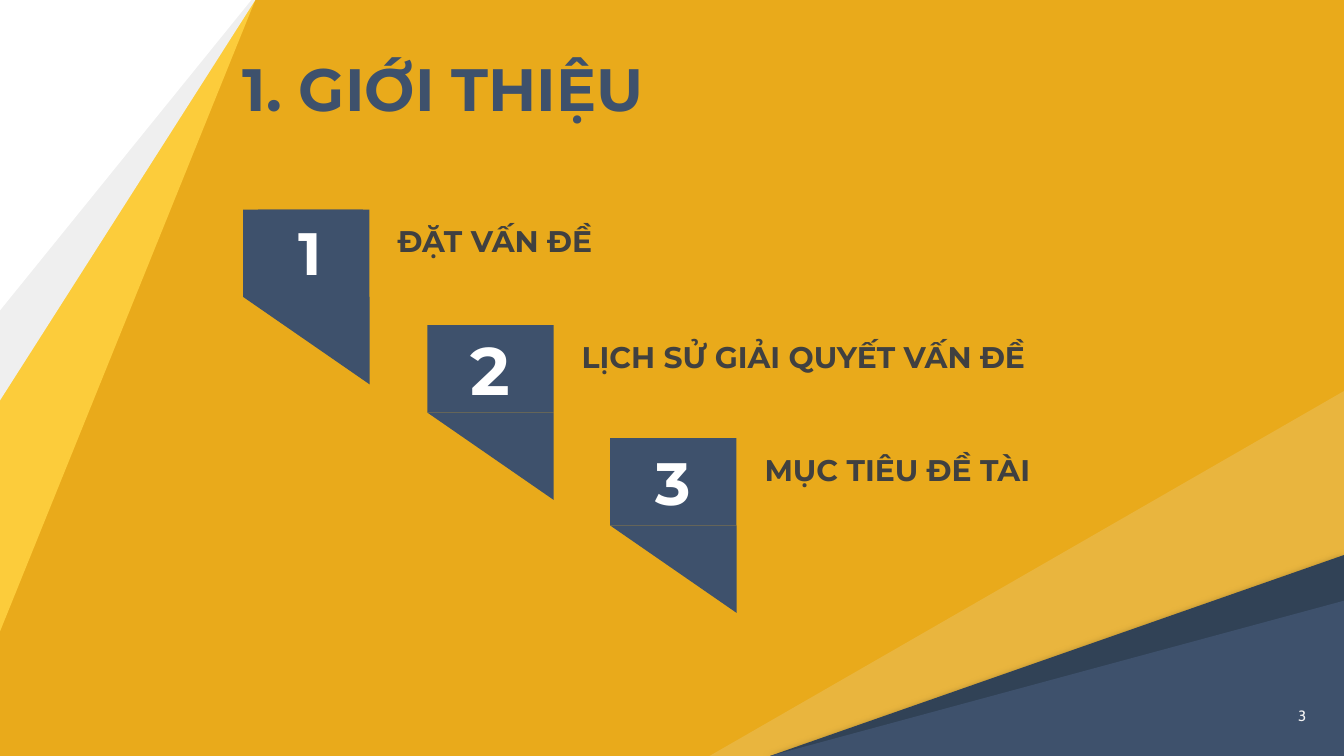
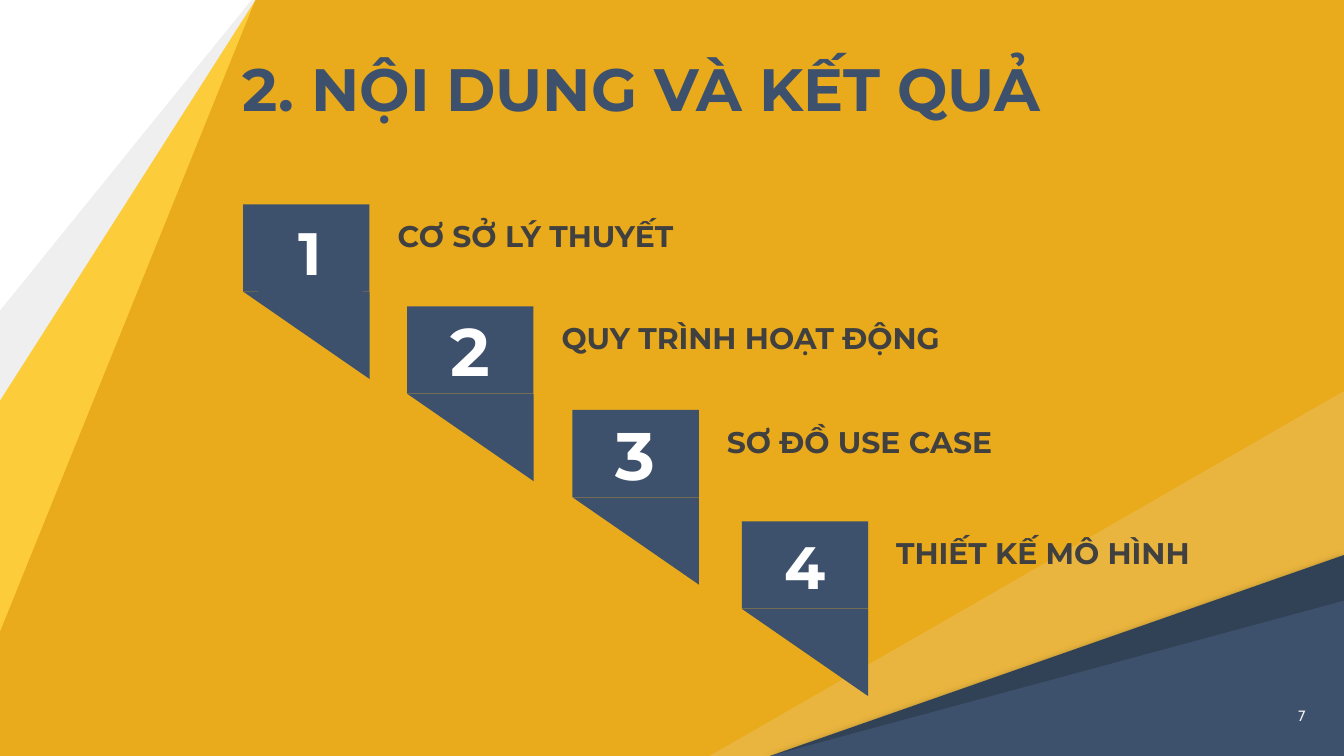
from lxml import etree
from pptx import Presentation
from pptx.dml.color import RGBColor
from pptx.enum.shapes import MSO_SHAPE as Shape
from pptx.enum.text import MSO_ANCHOR as Anchor, PP_ALIGN as Align
from pptx.oxml import parse_xml
from pptx.oxml.ns import qn
from pptx.util import Inches, Pt

WIDTH = 10
HEIGHT = WIDTH * 9 / 16
GOLD, NAVY, DARK_NAVY = "E9AA1B", "3E516C", "314256"
YELLOW, GREY, PALE, WHITE = "FCCC3B", "EFEFEF", "EDEDEB", "FFFFFF"
LABEL_COLOR, PAGE_COLOR = "404040", "F3F3F3"
FLAG_WIDTH, FLAG_HEIGHT = 0.94, 0.65
LABEL_SHIFT_X, LABEL_SHIFT_Y, LABEL_HEIGHT = 1.05, 0.05, 0.37
FIRST_NUMBER_BOX = (1.92, 1.56, 0.78, 0.64)

TITLE_FORMAT = {"name": "Montserrat", "size": Pt(32), "bold": True}
LABEL_FORMAT = {"name": "Montserrat", "size": Pt(16), "bold": True}
PAGE_FORMAT = {"name": "Cabin", "size": Pt(8)}

# Corner triangles, from back to front: fill, points, opacity in percent, shadow
CORNERS = [
    (PALE, [(WIDTH, HEIGHT), (5.28, HEIGHT), (WIDTH, 2.91)], 17, False),
    (DARK_NAVY, [(WIDTH, HEIGHT), (WIDTH, 4.13), (5.73, HEIGHT)], 100, True),
    (NAVY, [(WIDTH, HEIGHT), (WIDTH, 4.47), (5.73, HEIGHT)], 100, False),
    (YELLOW, [(0, 0), (0, 4.7), (1.9, 0)], 100, False),
    (GREY, [(0, 0), (1.9, 0), (0, 2.98)], 100, False),
    (WHITE, [(0, 0), (1.87, 0), (0, 2.31)], 100, False),
]

# Each step: left, top, number size, label, label width
SLIDES = [
    {"title": "1. GIỚI THIỆU", "page": "3", "steps": [
        (1.81, 1.56, 32, "ĐẶT VẤN ĐỀ", 2.63),
        (3.18, 2.42, 36, "LỊCH SỬ GIẢI QUYẾT VẤN ĐỀ", 3.96),
        (4.54, 3.26, 32, "MỤC TIÊU ĐỀ TÀI", 2.38),
    ]},
    {"title": "2. NỘI DUNG VÀ KẾT QUẢ", "page": "7", "steps": [
        (1.81, 1.52, 32, "CƠ SỞ LÝ THUYẾT", 2.63),
        (3.03, 2.28, 36, "QUY TRÌNH HOẠT ĐỘNG", 3.62),
        (4.26, 3.05, 36, "SƠ ĐỒ USE CASE", 2.38),
        (5.52, 3.88, 32, "THIẾT KẾ MÔ HÌNH", 3.13),
    ]},
]

SHADOW_XML = (
    '<a:outerShdw xmlns:a="http://schemas.openxmlformats.org/drawingml/2006/main" '
    'blurRad="57150" dist="19050" dir="5400000" algn="bl" rotWithShape="0">'
    '<a:srgbClr val="000000"><a:alpha val="50000"/></a:srgbClr></a:outerShdw>'
)


def rgb(value):
    return RGBColor.from_string(value)


def paint(shape, color):
    """Give a shape a plain fill with no outline or shadow."""
    shape.shadow.inherit = False
    shape.fill.solid()
    shape.fill.fore_color.rgb = rgb(color)
    shape.line.fill.background()


def write(shape, text, color, font_format, anchor=Anchor.TOP, align=Align.LEFT):
    frame = shape.text_frame
    frame.word_wrap = True
    frame.vertical_anchor = anchor
    paragraph = frame.paragraphs[0]
    paragraph.alignment = align
    run = paragraph.add_run()
    run.text = text
    run.font.color.rgb = rgb(color)
    for name, value in font_format.items():
        setattr(run.font, name, value)
    return paragraph


def add_text(slide, box, *text_options):
    textbox = slide.shapes.add_textbox(*map(Inches, box))
    return textbox, write(textbox, *text_options)


def add_block(shapes, kind, box):
    block = shapes.add_shape(kind, *map(Inches, box))
    paint(block, NAVY)
    return block


def add_corner(slide, color, points, opacity, shadow):
    start, *others = [(Inches(x), Inches(y)) for x, y in points]
    builder = slide.shapes.build_freeform(*start)
    builder.add_line_segments(others)
    corner = builder.convert_to_shape()
    paint(corner, color)
    properties = corner.fill._xPr
    if opacity < 100:
        swatch = properties.find(qn("a:solidFill")).find(qn("a:srgbClr"))
        etree.SubElement(swatch, qn("a:alpha"), val=str(opacity * 1000))
    if shadow:
        properties.find(qn("a:effectLst")).append(parse_xml(SHADOW_XML))


def add_step(slide, number, left, top, size, label, label_width):
    flag = slide.shapes.add_group_shape()
    plate = add_block(flag.shapes, Shape.RECTANGLE, (left, top, FLAG_WIDTH, FLAG_HEIGHT))
    tail = add_block(flag.shapes, Shape.ISOSCELES_TRIANGLE,
                     (left, top + FLAG_HEIGHT, FLAG_WIDTH, FLAG_HEIGHT))
    tail.adjustments[0] = 0
    tail.rotation = 180

    anchor = Anchor.MIDDLE
    if number == 1:
        plate = add_block(slide.shapes, Shape.RECTANGLE, FIRST_NUMBER_BOX)
        anchor = Anchor.TOP
    number_format = {**TITLE_FORMAT, "size": Pt(size)}
    write(plate, str(number), WHITE, number_format, anchor, Align.CENTER)

    label_box = (left + LABEL_SHIFT_X, top + LABEL_SHIFT_Y, label_width, LABEL_HEIGHT)
    add_text(slide, label_box, label, LABEL_COLOR, LABEL_FORMAT)


def set_margins(textbox):
    for side in ("left", "right", "top", "bottom"):
        setattr(textbox.text_frame, f"margin_{side}", Inches(0.1))


def add_slide(presentation, title, page, steps):
    slide = presentation.slides.add_slide(presentation.slide_layouts[6])
    for corner in CORNERS:
        add_corner(slide, *corner)
    title_box, paragraph = add_text(slide, (1.71, 0.22, 8.6, 0.8), title, NAVY,
                                    TITLE_FORMAT, Anchor.BOTTOM)
    paragraph.line_spacing = 1.15
    page_box, _ = add_text(slide, (9.56, 5.19, 0.44, 0.43), page, PAGE_COLOR, PAGE_FORMAT)
    for textbox in (title_box, page_box):
        set_margins(textbox)
    for number, step in enumerate(steps, 1):
        add_step(slide, number, *step)


def main():
    presentation = Presentation()
    presentation.slide_width = Inches(WIDTH)
    presentation.slide_height = Inches(HEIGHT)
    background = presentation.slide_master.background.fill
    background.solid()
    background.fore_color.rgb = rgb(GOLD)
    for content in SLIDES:
        add_slide(presentation, **content)
    presentation.save("out.pptx")


if __name__ == "__main__":
    main()
